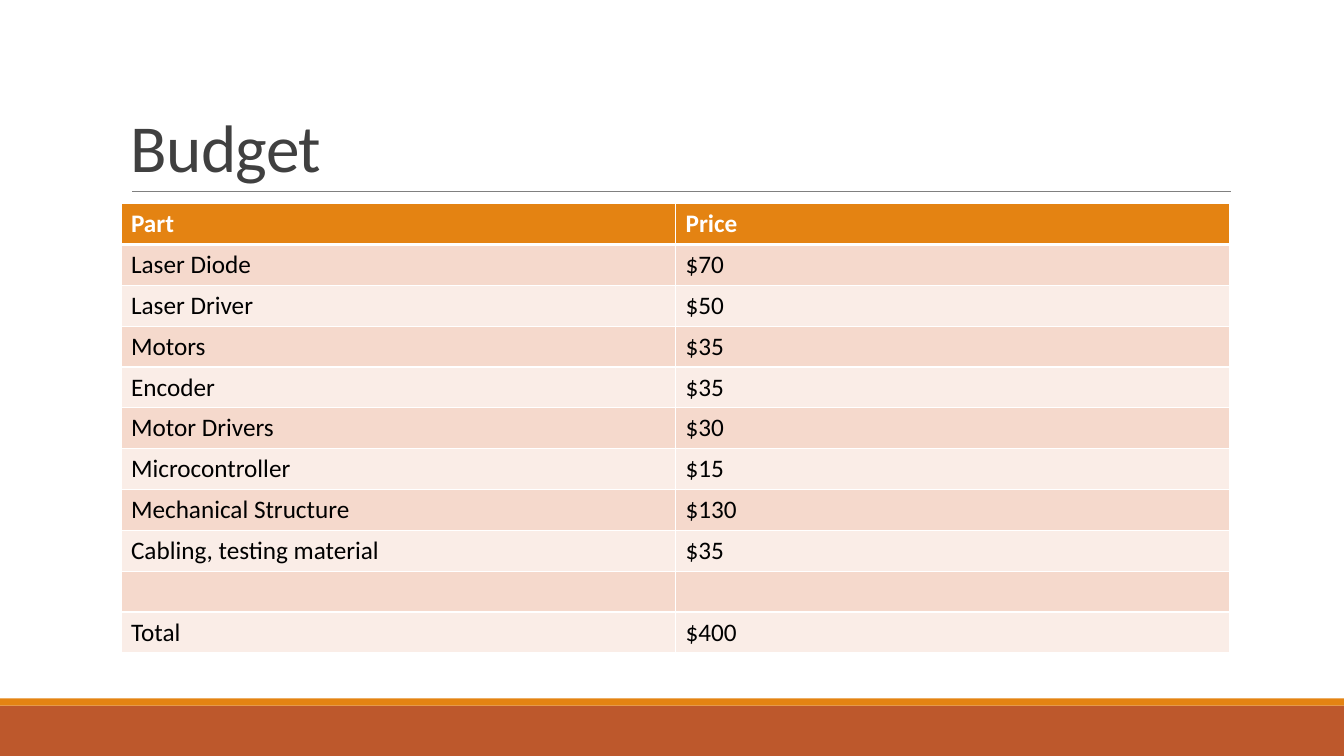
import pptx
import pptx.dml.color
import pptx.enum.shapes
import pptx.enum.text
import pptx.oxml.ns
import pptx.util
from lxml import etree

TITLE = "Budget"
BUDGET = [
    ("Part", "Price"),
    ("Laser Diode", "$70"),
    ("Laser Driver", "$50"),
    ("Motors", "$35"),
    ("Encoder", "$35"),
    ("Motor Drivers", "$30"),
    ("Microcontroller", "$15"),
    ("Mechanical Structure", "$130"),
    ("Cabling, testing material", "$35"),
    ("", ""),
    ("Total", "$400"),
]


class Theme:
    font = "Calibri"
    title_size, table_size = 48, 18
    title, rule, white, black = "404040", "808080", "FFFFFF", "000000"
    footer, accent = "BD582C", "E48312"
    bands = ("F5D9CC", "FAEDE7")


WIDTH, HEIGHT = 13.33, 7.5
LEFT, CONTENT_WIDTH = 1.2, 11
TITLE_TOP, TITLE_HEIGHT = 0.31, 1.59
RULE_LEFT, RULE_RIGHT, RULE_Y = 1.31, 12.21, 1.9
TABLE_TOP, TABLE_HEIGHT = 2.02, 4.46
FOOTER_HEIGHT, STRIPE_HEIGHT = 0.5, 0.07

inches = pptx.util.Inches


def rgb(color):
    return pptx.dml.color.RGBColor.from_string(color)


def style(run, color, size, bold=False):
    formats = {"name": Theme.font, "size": pptx.util.Pt(size), "bold": bold}
    for key, value in formats.items():
        setattr(run.font, key, value)
    run.font.color.rgb = rgb(color)


def add_band(slide, top, height, color):
    band = slide.shapes.add_shape(
        pptx.enum.shapes.MSO_SHAPE.RECTANGLE,
        0, inches(top), inches(WIDTH), inches(height))
    band.shadow.inherit = False
    band.fill.solid()
    band.fill.fore_color.rgb = rgb(color)
    band.line.fill.background()


def add_title(slide):
    box = slide.shapes.add_textbox(
        inches(LEFT), inches(TITLE_TOP), inches(CONTENT_WIDTH), inches(TITLE_HEIGHT))
    frame = box.text_frame
    frame.word_wrap = True
    frame.vertical_anchor = pptx.enum.text.MSO_ANCHOR.BOTTOM
    paragraph = frame.paragraphs[0]
    paragraph.line_spacing = 0.85
    run = paragraph.add_run()
    run.text = TITLE
    style(run, Theme.title, Theme.title_size)
    run.font._element.set("spc", "-50")


def add_rule(slide):
    rule = slide.shapes.add_connector(
        pptx.enum.shapes.MSO_CONNECTOR.STRAIGHT,
        inches(RULE_LEFT), inches(RULE_Y), inches(RULE_RIGHT), inches(RULE_Y))
    rule.line.color.rgb = rgb(Theme.rule)
    rule.line.width = pptx.util.Pt(0.5)
    etree.SubElement(rule._element.spPr, pptx.oxml.ns.qn("a:effectLst"))


def set_borders(cell, widths):
    """Draw white cell borders; widths maps each side's tag to points."""
    properties = cell._tc.get_or_add_tcPr()
    for position, (side, points) in enumerate(widths.items()):
        border = etree.Element(pptx.oxml.ns.qn(f"a:{side}"), w=str(pptx.util.Pt(points)))
        fill = etree.SubElement(border, pptx.oxml.ns.qn("a:solidFill"))
        etree.SubElement(fill, pptx.oxml.ns.qn("a:srgbClr"), val=Theme.white)
        properties.insert(position, border)


def add_budget(slide):
    table = slide.shapes.add_table(
        len(BUDGET), len(BUDGET[0]), inches(LEFT), inches(TABLE_TOP),
        inches(CONTENT_WIDTH), inches(TABLE_HEIGHT)).table
    for row, entries in enumerate(BUDGET):
        header = row == 0
        fill = Theme.accent if header else Theme.bands[(row - 1) % 2]
        widths = {"lnL": 1, "lnR": 1, "lnT": 3 if row == 1 else 1, "lnB": 3 if header else 1}
        for column, entry in enumerate(entries):
            cell = table.cell(row, column)
            cell.fill.solid()
            cell.fill.fore_color.rgb = rgb(fill)
            set_borders(cell, widths)
            if entry:
                run = cell.text_frame.paragraphs[0].add_run()
                run.text = entry
                style(run, Theme.white if header else Theme.black, Theme.table_size, header)


def main():
    deck = pptx.Presentation()
    deck.slide_width, deck.slide_height = inches(WIDTH), inches(HEIGHT)
    slide = deck.slides.add_slide(deck.slide_layouts[6])
    footer_top = HEIGHT - FOOTER_HEIGHT
    add_band(slide, footer_top, FOOTER_HEIGHT, Theme.footer)
    add_band(slide, footer_top - STRIPE_HEIGHT, STRIPE_HEIGHT, Theme.accent)
    add_rule(slide)
    add_title(slide)
    add_budget(slide)
    deck.save("out.pptx")


if __name__ == "__main__":
    main()
